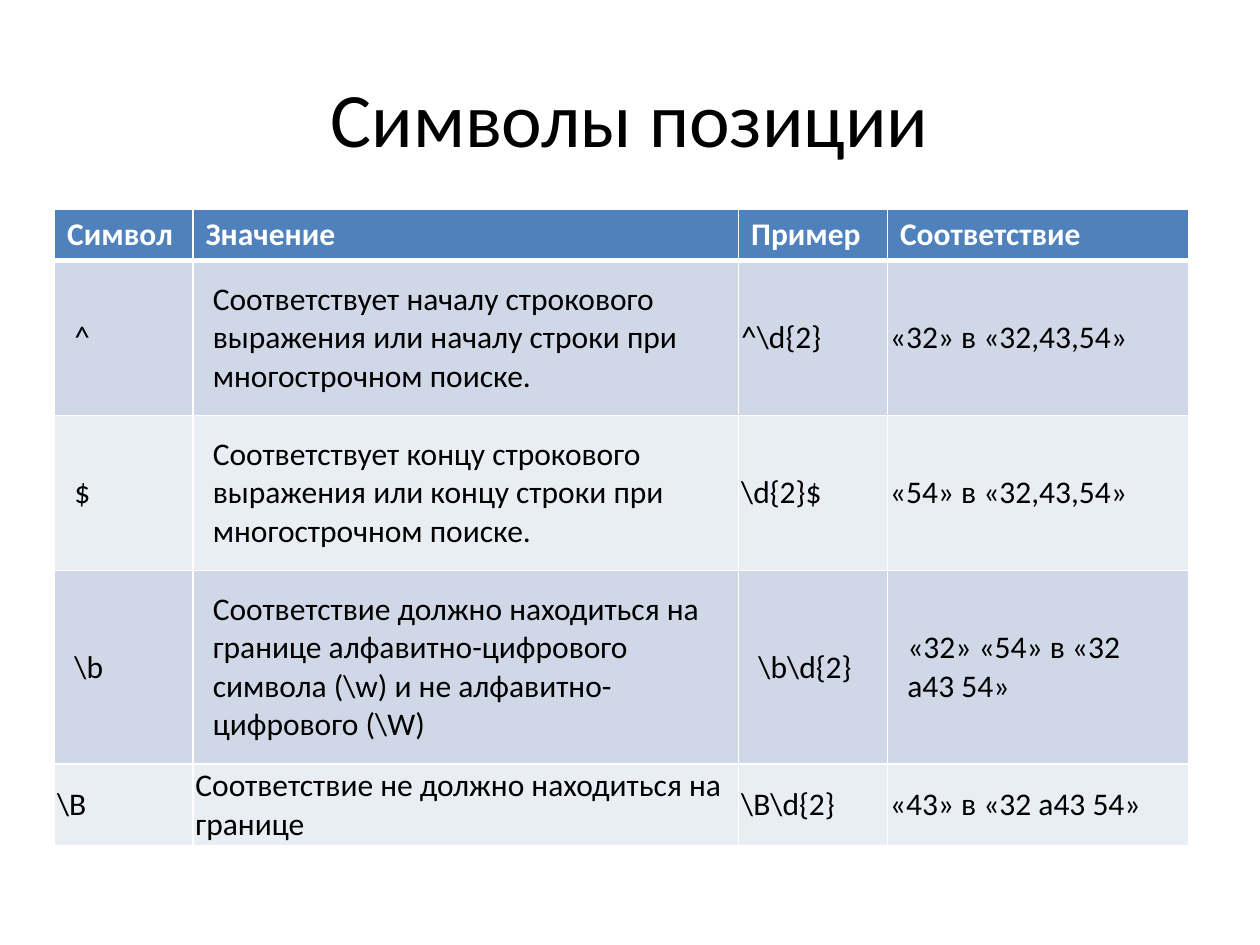
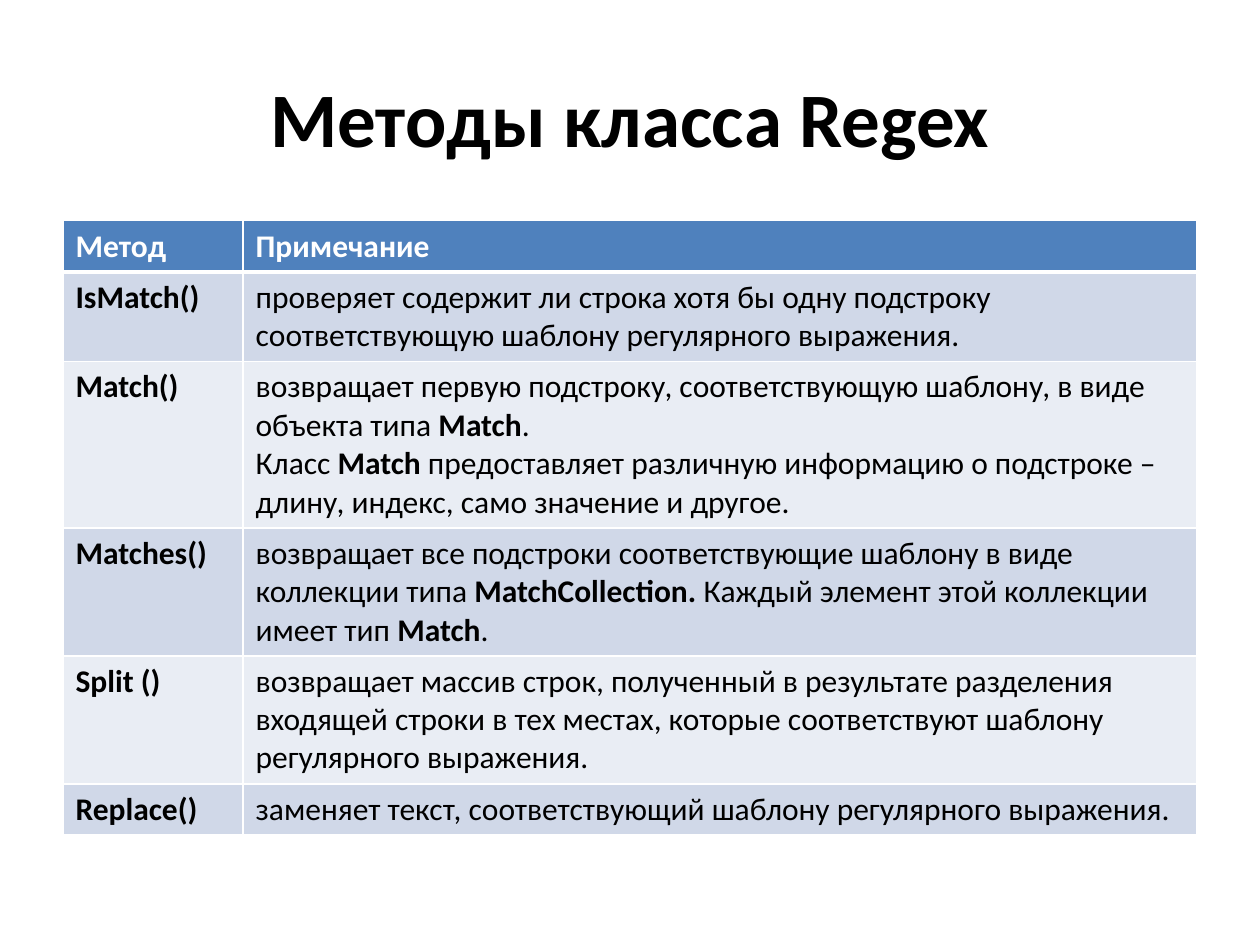
from lxml import etree
from pptx import Presentation
from pptx import util as u
from pptx.dml import color
from pptx.enum import text
from pptx.oxml import ns

FONT = "Calibri"
BLACK, WHITE = "000000", "FFFFFF"
HEADER_FILL = "4F81BD"
BAND_FILLS = ["E9EDF4", "D0D8E8"]
BORDERS = ["a:lnL", "a:lnR", "a:lnT", "a:lnB"]
WIDE, TIGHT = u.Cm(0.4), u.Cm(0.05)
ROW_HEIGHT = u.Cm(1.03)  # rows grow to fit their text

SLIDES = [
    {
        "title": "Символы позиции",
        "left": 1.1,
        "top": 4.22,
        "columns": [2.79, 11, 3, 6.07],
        "padded": True,
        "tight": {(1, 2), (1, 3), (2, 2), (2, 3), (4, 0), (4, 1), (4, 2), (4, 3)},
        "rows": [
            ["Символ", "Значение", "Пример", "Соответствие"],
            ["^", "Соответствует началу строкового выражения или началу строки "
             "при многострочном поиске.", r"^\d{2}", "«32» в «32,43,54»"],
            ["$", "Соответствует концу строкового выражения или концу строки "
             "при многострочном поиске.", r"\d{2}$", "«54» в «32,43,54»"],
            [r"\b", "Соответствие должно находиться на границе алфавитно-цифрового "
             r"символа (\w) и не алфавитно-цифрового (\W)",
             r"\b\d{2}", "«32» «54» в «32 a43 54»"],
            [r"\B", "Соответствие не должно находиться на границе",
             r"\B\d{2}", "«43» в «32 a43 54»"],
        ],
    },
    {
        "title": "*Методы класса Regex*",
        "left": 1.27,
        "top": 4.45,
        "columns": [3.63, 19.23],
        "padded": False,
        "tight": set(),
        "rows": [
            ["Метод", "Примечание"],
            ["*IsMatch()*", "проверяет содержит ли строка хотя бы одну подстроку "
             "соответствующую шаблону регулярного выражения."],
            ["*Match()*", "возвращает первую подстроку, соответствующую шаблону, "
             "в виде объекта типа *Match*.\n"
             "Класс *Match* предоставляет различную информацию о подстроке – "
             "длину, индекс, само значение и другое."],
            ["*Matches()*", "возвращает все подстроки соответствующие шаблону в виде "
             "коллекции типа *MatchCollection.* Каждый элемент этой коллекции "
             "имеет тип *Match*."],
            ["*Split ()*", "возвращает массив строк, полученный в результате разделения "
             "входящей строки в тех местах, которые соответствуют шаблону "
             "регулярного выражения."],
            ["*Replace()*", "заменяет текст, соответствующий шаблону регулярного "
             "выражения."],
        ],
    },
]


def rgb(value):
    """Turn a hex string into a colour."""
    return color.RGBColor.from_string(value)


def write(frame, content, size=18, ink=BLACK, bold=False, align=text.PP_ALIGN.LEFT):
    """Write lines as paragraphs; words between asterisks are bold."""
    for index, line in enumerate(content.split("\n")):
        paragraph = frame.add_paragraph() if index else frame.paragraphs[0]
        paragraph.alignment = align
        for part, words in enumerate(line.split("*")):
            if words:
                run = paragraph.add_run()
                run.text = words
                run.font.name = FONT
                run.font.size = u.Pt(size)
                run.font.bold = bold or part % 2 == 1
                run.font.color.rgb = rgb(ink)


presentation = Presentation()
presentation.slide_width, presentation.slide_height = u.Cm(25.4), u.Cm(19.05)
title_only = presentation.slide_layouts[5]

for content in SLIDES:
    slide = presentation.slides.add_slide(title_only)
    title = slide.shapes.title
    title.left, title.top = u.Cm(1.27), u.Cm(0.76)
    title.width, title.height = u.Cm(22.86), u.Cm(3.18)
    title.text_frame.vertical_anchor = text.MSO_ANCHOR.MIDDLE
    write(title.text_frame, content["title"], size=44, align=text.PP_ALIGN.CENTER)

    rows, columns = content["rows"], content["columns"]
    table = slide.shapes.add_table(
        len(rows), len(columns), u.Cm(content["left"]), u.Cm(content["top"]),
        u.Cm(sum(columns)), ROW_HEIGHT * len(rows)).table
    for column, width in zip(table.columns, columns):
        column.width = u.Cm(width)

    for row_index, row in enumerate(rows):
        table.rows[row_index].height = ROW_HEIGHT
        header = row_index == 0
        for column_index, words in enumerate(row):
            cell = table.cell(row_index, column_index)
            properties = cell._tc.get_or_add_tcPr()
            for border in BORDERS:
                thick = (header and border == "a:lnB") or (row_index == 1 and border == "a:lnT")
                line = etree.SubElement(properties, ns.qn(border), w=str(u.Pt(3 if thick else 1)))
                fill = etree.SubElement(line, ns.qn("a:solidFill"))
                etree.SubElement(fill, ns.qn("a:srgbClr"), val=WHITE)
            cell.fill.solid()
            cell.fill.fore_color.rgb = rgb(HEADER_FILL if header else BAND_FILLS[row_index % 2])
            if content["padded"] and not header:
                margin = TIGHT if (row_index, column_index) in content["tight"] else WIDE
                cell.margin_left = cell.margin_right = margin
                cell.margin_top = cell.margin_bottom = margin
                cell.vertical_anchor = text.MSO_ANCHOR.MIDDLE
            write(cell.text_frame, words, ink=WHITE if header else BLACK, bold=header)

presentation.save("out.pptx")
